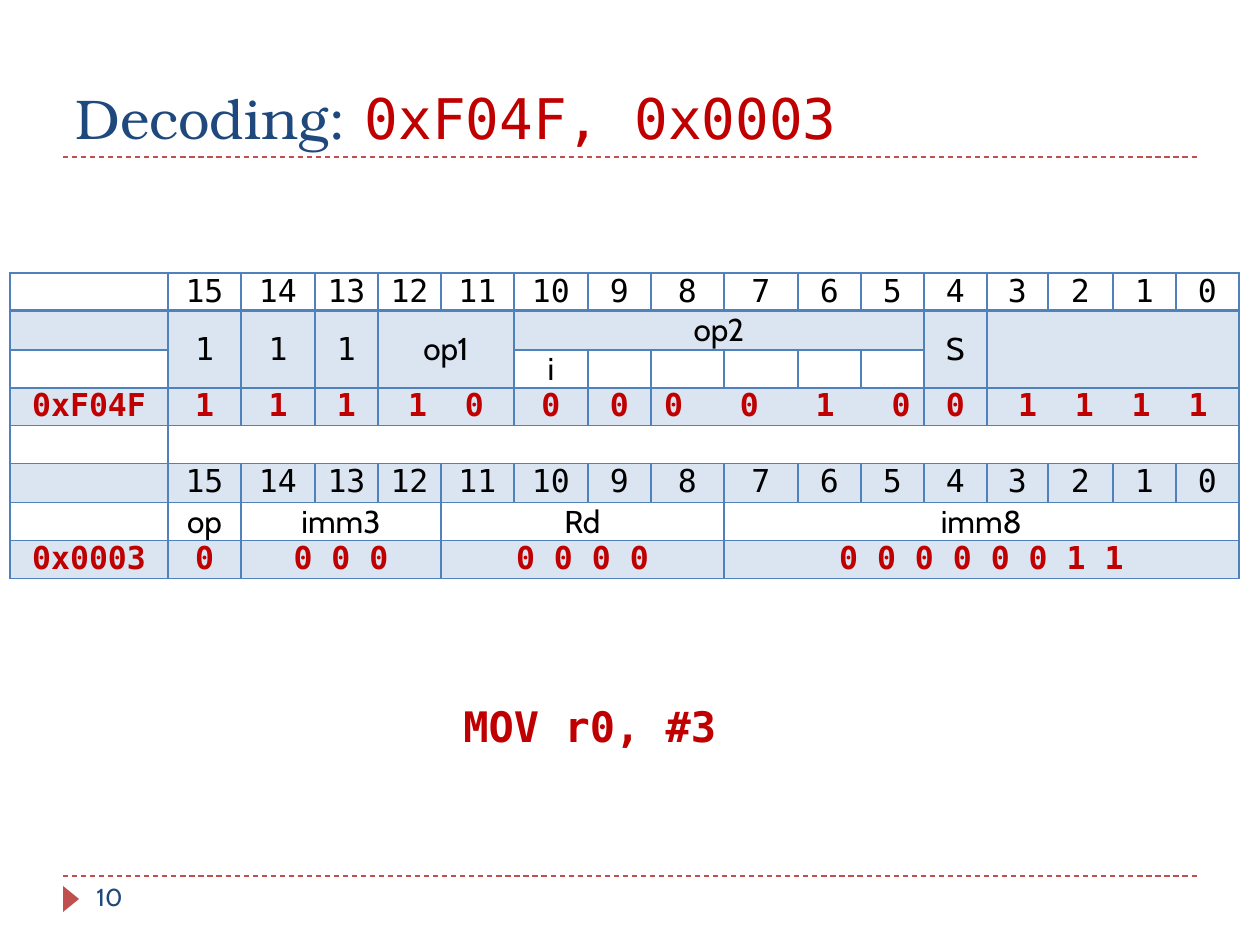
from typing import NamedTuple

import pptx
import pptx.dml.color
import pptx.enum.dml
import pptx.enum.shapes
import pptx.enum.text
import pptx.oxml.ns
import pptx.util
from lxml import etree

RGB = pptx.dml.color.RGBColor
Anchor = pptx.enum.text.MSO_ANCHOR
qn = pptx.oxml.ns.qn

NAVY = RGB(0x1F, 0x49, 0x7D)
RED = RGB(0xC0, 0x00, 0x00)
BRICK = RGB(0xC0, 0x50, 0x4D)
BLUE = RGB(0x4F, 0x81, 0xBD)
BLACK = RGB(0x00, 0x00, 0x00)
MONO, SANS, SERIF = "DejaVu Sans Mono", "Cabin", "TeX Gyre Bonum"
SCALE = 914400 / 126  # EMU in one px


class Style(NamedTuple):
    font: str
    size: int
    color: RGB
    bold: bool = False


class Label(NamedTuple):
    box: tuple[int, int, int, int]
    words: list[tuple[str, Style]]
    anchor: Anchor = Anchor.TOP
    wrap: bool = True


class Field(NamedTuple):
    text: str = ""
    wide: int = 1
    tall: int = 1
    gap: float = 0  # extra letter spacing in points


class Row(NamedTuple):
    high: int
    fields: list[Field]
    shade: bool = False
    code: bool = False


def px(n: float) -> pptx.util.Emu:
    return pptx.util.Emu(round(n * SCALE))


def paint(run, style: Style) -> None:
    run.font.name = style.font
    run.font.size = pptx.util.Pt(style.size)
    run.font.bold = style.bold
    run.font.color.rgb = style.color


def add_rule(slide, y: int) -> None:
    rule = slide.shapes.add_connector(
        pptx.enum.shapes.MSO_CONNECTOR.STRAIGHT, px(63), px(y), px(1197), px(y))
    rule.line.color.rgb = BRICK
    rule.line.width = pptx.util.Pt(0.75)
    rule.line.dash_style = pptx.enum.dml.MSO_LINE.DASH
    etree.SubElement(rule._element.spPr, qn("a:effectLst"))


def add_label(slide, label: Label) -> None:
    frame = slide.shapes.add_textbox(*map(px, label.box)).text_frame
    frame.word_wrap = label.wrap
    frame.vertical_anchor = label.anchor
    for text, style in label.words:
        run = frame.paragraphs[0].add_run()
        run.text = text
        paint(run, style)


def edge(cell, heavy: str) -> None:
    props = cell._tc.get_or_add_tcPr()
    for side in "LRTB":
        width = pptx.util.Pt(2 if side == heavy else 1)
        line = etree.SubElement(props, qn(f"a:ln{side}"), w=str(width))
        fill = etree.SubElement(line, qn("a:solidFill"))
        etree.SubElement(fill, qn("a:srgbClr"), val=str(BLUE))


def shade(cell, on: bool) -> None:
    if not on:
        cell.fill.background()
        return
    cell.fill.solid()
    cell.fill.fore_color.rgb = BLUE
    tint = cell._tc.tcPr.find(f"{qn('a:solidFill')}/{qn('a:srgbClr')}")
    etree.SubElement(tint, qn("a:alpha"), val="20000")


def write(cell, field: Field, row: Row) -> None:
    para = cell.text_frame.paragraphs[0]
    para.alignment = pptx.enum.text.PP_ALIGN.CENTER
    # Spread all but the last letter, so that the text stays centred
    pieces = [field.text[:-1], field.text[-1]] if field.gap else [field.text]
    mono = row.code or field.text.isdigit()
    style = Style(MONO if mono else SANS, 18, RED if row.code else BLACK, row.code)
    for piece in pieces:
        run = para.add_run()
        run.text = piece
        paint(run, style)
    if field.gap:
        para.runs[0].font._element.set("spc", str(round(field.gap * 100)))


def add_grid(slide, left: int, top: int, cols: list[int], rows: list[Row]) -> None:
    high = sum(row.high for row in rows)
    table = slide.shapes.add_table(
        len(rows), len(cols), px(left), px(top), px(sum(cols)), px(high)).table
    table.first_row = table.horz_banding = False
    for col, wide in zip(table.columns, cols):
        col.width = px(wide)
    for r, row in enumerate(rows):
        table.rows[r].height = px(row.high)
        fields = iter(row.fields)
        for c in range(len(cols)):
            cell = table.cell(r, c)
            cell.margin_top = cell.margin_bottom = 0
            cell.margin_left = cell.margin_right = px(9)
            edge(cell, {0: "B", 1: "T"}.get(r, ""))
            shade(cell, row.shade)
            field = Field() if cell.is_spanned else next(fields, Field())
            if field.wide * field.tall > 1:
                cell.merge(table.cell(r + field.tall - 1, c + field.wide - 1))
            if field.tall > 1 or field.wide == 6:
                cell.vertical_anchor = Anchor.MIDDLE
            if field.text:
                write(cell, field, row)
            else:
                end = etree.SubElement(
                    cell.text_frame.paragraphs[0]._p, qn("a:endParaRPr"))
                end.set("sz", "1200")


BITS = [Field()] + [Field(str(n)) for n in range(15, -1, -1)]
ONE, ZERO = Field("1"), Field("0")
COLS = [158, 73, 74, 63, 63, 73, 74, 63, 73, 74, 63, 63, 63, 61, 65, 63, 63]
ROWS = [
    Row(36, BITS),
    Row(39, [Field()] + [Field("1", tall=2)] * 3
        + [Field("op1", 2, 2), Field("op2", 6), Field("S", tall=2), Field("", 4, 2)],
        shade=True),
    Row(38, [Field(), Field("i")]),
    Row(37, [Field("0xF04F"), ONE, ONE, ONE, Field("1 0", 2, gap=5.42), ZERO, ZERO,
             Field("0 0 1 0", 4, gap=10.84), ZERO, Field("1 1 1 1", 4, gap=5.42)],
        shade=True, code=True),
    Row(38, [Field(), Field("", 16)]),
    Row(39, BITS, shade=True),
    Row(38, [Field(), Field("op"), Field("imm3", 3), Field("Rd", 4), Field("imm8", 8)]),
    Row(37, [Field("0x0003"), ZERO, Field("0 0 0", 3), Field("0 0 0 0", 4),
             Field("0 0 0 0 0 0 1 1", 8)], shade=True, code=True),
]
LABELS = [
    Label((63, 21, 1134, 136), [("Decoding: ", Style(SERIF, 32, NAVY)),
                                ("0xF04F, 0x0003", Style(MONO, 32, RED))], Anchor.BOTTOM),
    Label((84, 876, 273, 50), [("10", Style(SANS, 14, NAVY))]),
    Label((451, 694, 284, 63), [("MOV r0, #3", Style(MONO, 24, RED, True))], wrap=False),
]


def main() -> None:
    deck = pptx.Presentation()
    deck.slide_width, deck.slide_height = px(1260), px(945)
    slide = deck.slides.add_slide(deck.slide_layouts[6])

    # Dashed rules and page marker
    for y in (876, 157):
        add_rule(slide, y)
    mark = slide.shapes.add_shape(
        pptx.enum.shapes.MSO_SHAPE.ISOSCELES_TRIANGLE, px(58), px(891), px(26), px(16))
    mark.rotation = 90
    mark.shadow.inherit = False
    mark.fill.solid()
    mark.fill.fore_color.rgb = BRICK
    mark.line.fill.background()

    # Title, page number and decoded instruction
    for label in LABELS:
        add_label(slide, label)

    # Bit fields of both halfwords
    add_grid(slide, 10, 273, COLS, ROWS)
    deck.save("out.pptx")


if __name__ == "__main__":
    main()
